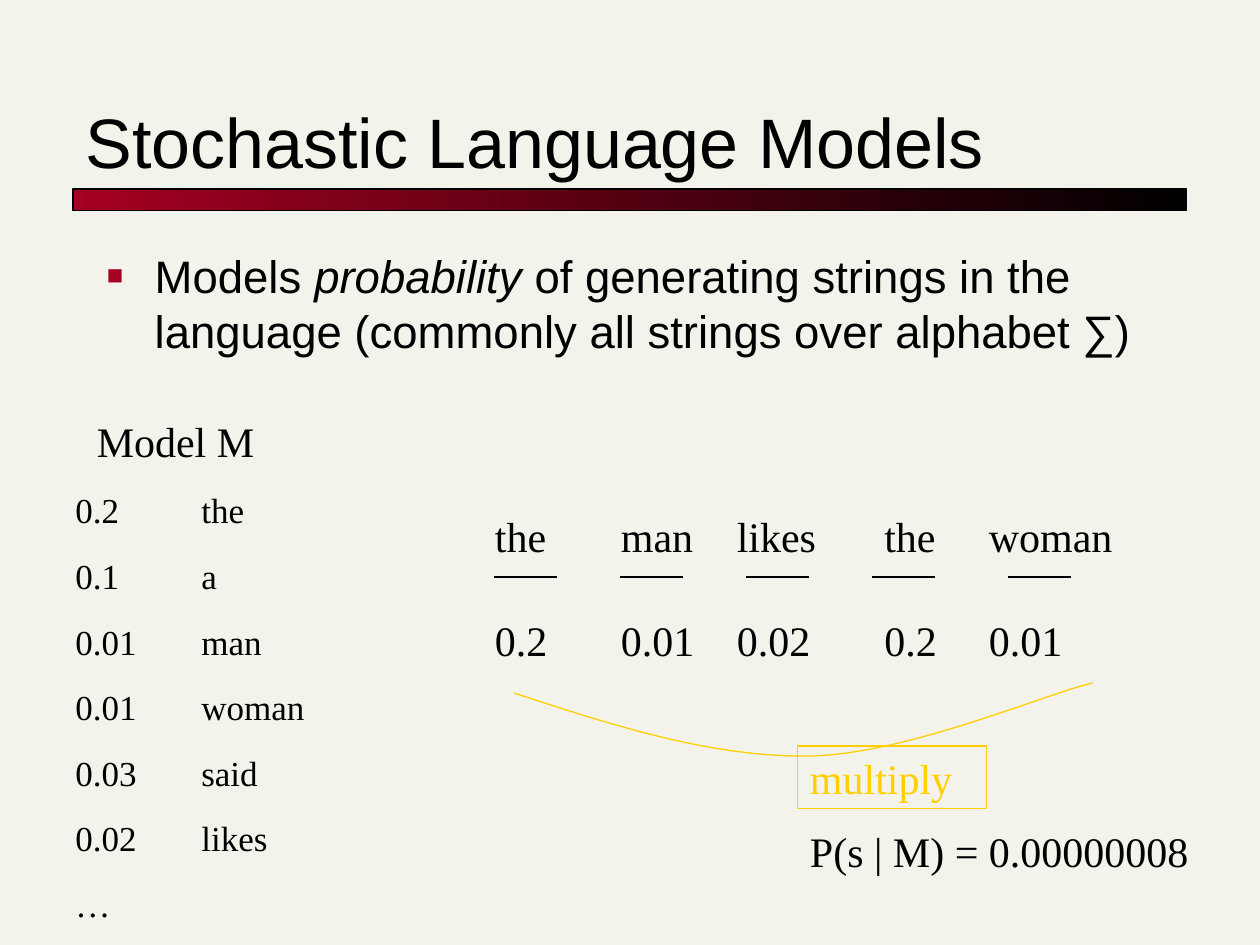
import pptx
import pptx.util
import pptx.dml.color
import pptx.enum.shapes
import pptx.enum.text
import pptx.oxml.ns
import lxml.etree
from dataclasses import dataclass

Inches, Pt = pptx.util.Inches, pptx.util.Pt
RGB = pptx.dml.color.RGBColor.from_string
SHAPE = pptx.enum.shapes.MSO_SHAPE
ANCHOR = pptx.enum.text.MSO_ANCHOR
qn = pptx.oxml.ns.qn


@dataclass(frozen=True)
class Theme:
    back: str = "F4F3EB"
    ink: str = "000000"
    red: str = "A50021"
    gold: str = "FFCF01"
    sans: str = "Arial"
    serif: str = "Times New Roman"
    title: int = 40
    body: int = 26
    label: int = 24
    entry: int = 20
    line: float = 0.75


T = Theme()


def add_xml(parent, tag, **attrs):
    return lxml.etree.SubElement(parent, qn(tag), attrs)


def write(p, text, size=T.label, name=T.serif, color=T.ink, italic=False):
    r = p.add_run()
    r.text = text
    formats = {"size": Pt(size), "name": name, "italic": italic}
    for key, value in formats.items():
        setattr(r.font, key, value)
    r.font.color.rgb = RGB(color)


def text_box(shapes, box, text="", anchor=ANCHOR.TOP, **font):
    tf = shapes.add_textbox(*map(Inches, box)).text_frame
    tf.word_wrap = True
    tf.vertical_anchor = anchor
    if text:
        write(tf.paragraphs[0], text, **font)
    return tf


def outline(sp, color):
    sp.shadow.inherit = False
    sp.line.color.rgb = RGB(color)
    sp.line.width = Pt(T.line)


def add_heading(s, box):
    """Title over a bar that fades from red to black."""
    x, y, w, h = box
    bar_h = 0.17
    sp = s.shapes.add_shape(SHAPE.RECTANGLE, Inches(x), Inches(y + h - bar_h),
                            Inches(w), Inches(bar_h))
    outline(sp, T.ink)
    sp.fill.gradient()
    sp.fill.gradient_angle = 0
    for stop, color in zip(sp.fill.gradient_stops, (T.red, T.ink)):
        stop.color.rgb = RGB(color)
    text_box(s.shapes, (x, y, w, h - bar_h), "Stochastic Language Models",
             ANCHOR.BOTTOM, size=T.title, name=T.sans)


def add_bullet(s, box):
    """Square-bulleted statement with one word in italics."""
    p = text_box(s.shapes, box).paragraphs[0]
    pPr = p._p.get_or_add_pPr()
    pPr.set("marL", str(Inches(0.38)))
    pPr.set("indent", str(-Inches(0.38)))
    add_xml(add_xml(pPr, "a:buClr"), "a:srgbClr", val=T.red)
    add_xml(pPr, "a:buSzPct", val="60000")
    add_xml(pPr, "a:buFont", typeface=T.sans)
    add_xml(pPr, "a:buChar", char="■")
    for text, italic in (("Models ", False), ("probability", True),
                         (" of generating strings in the language "
                          "(commonly all strings over alphabet ∑)", False)):
        write(p, text, T.body, T.sans, italic=italic)


def add_model(s, box):
    """Word probabilities of the model, under their heading."""
    x, y, w, h = box
    text_box(s.shapes, (x + 0.17, y, 1.5, 0.5), "Model M")
    tf = text_box(s.shapes, (x, y + 0.58, w, h - 0.58))
    entries = ("0.2\tthe", "0.1\ta", "0.01\tman", "0.01\twoman",
               "0.03\tsaid", "0.02\tlikes", "…")
    for i, entry in enumerate(entries):
        p = tf.paragraphs[0] if i == 0 else tf.add_paragraph()
        if i:
            p.space_before = Pt(13.5)
        tabs = add_xml(p._p.get_or_add_pPr(), "a:tabLst")
        add_xml(tabs, "a:tab", pos=str(Inches(1)), algn="l")
        write(p, entry, T.entry)


def add_sentence(s, box):
    """Words of the string, a rule under each, and their probabilities."""
    x, y, w, h = box
    row_h = 0.5
    columns = (  # word, probability, text offset, width, rule offset
        ("the", "0.2", 0, 0.67, 0.09),
        ("man", "0.01", 1, 0.83, 1.09),
        ("likes", "0.02", 1.92, 0.83, 2.09),
        ("the", "0.2", 3.09, 0.83, 3.09),
        ("woman", "0.01", 3.92, 1.5, 4.17),
    )
    rules = s.shapes.add_group_shape()
    rule_y = Inches(y + 0.58)
    for word, prob, dx, col_w, rule_dx in columns:
        text_box(s.shapes, (x + dx, y, col_w, row_h), word)
        text_box(s.shapes, (x + dx, y + h - row_h, col_w, row_h), prob)
        cx = rules.shapes.add_connector(
            pptx.enum.shapes.MSO_CONNECTOR.STRAIGHT, Inches(x + rule_dx),
            rule_y, Inches(x + rule_dx + 0.5), rule_y)
        cx.line.color.rgb = RGB(T.ink)
        cx.line.width = Pt(T.line)
        add_xml(cx._element.spPr, "a:effectLst")


def add_curve(shapes, points, color):
    """Bezier line: a start point, then three points for each segment."""
    points = [(Inches(px), Inches(py)) for px, py in points]
    fb = shapes.build_freeform(*points[0])
    fb.add_line_segments(points[1:], close=False)
    sp = fb.convert_to_shape()
    sp.fill.background()
    outline(sp, color)
    # Turn each three straight steps into one cubic segment
    steps = list(sp._element.iter(qn("a:lnTo")))
    for i in range(0, len(steps), 3):
        steps[i].tag  # keep the first step as the place of the segment
        cubic = lxml.etree.Element(qn("a:cubicBezTo"))
        steps[i].addprevious(cubic)
        for step in steps[i:i + 3]:
            cubic.append(step[0])
            step.getparent().remove(step)


def add_product(s, box):
    """Curve that gathers the factors, the operation and the result."""
    x, y, w, h = box
    g = s.shapes.add_group_shape()
    offsets = ((0, 0.08), (0.79, 0.34), (1.57, 0.59), (2.34, 0.58),
               (3.1, 0.57), (4.21, 0.09), (4.59, 0))
    add_curve(g.shapes, [(x + dx, y + dy) for dx, dy in offsets], T.gold)
    left = x + 2.25
    sp = g.shapes.add_shape(SHAPE.RECTANGLE, Inches(left), Inches(y + 0.5),
                            Inches(1.5), Inches(0.5))
    sp.fill.background()
    outline(sp, T.gold)
    tf = sp.text_frame
    tf.vertical_anchor = ANCHOR.TOP
    p = tf.paragraphs[0]
    p.alignment = pptx.enum.text.PP_ALIGN.LEFT
    write(p, "multiply", color=T.gold)
    text_box(s.shapes, (left, y + h - 0.5, x + w - left, 0.5),
             "P(s | M) = 0.00000008")


def main():
    prs = pptx.Presentation()
    prs.slide_width, prs.slide_height = Inches(10), Inches(7.5)
    s = prs.slides.add_slide(prs.slide_layouts[6])
    s.background.fill.solid()
    s.background.fill.fore_color.rgb = RGB(T.back)
    add_heading(s, (0.58, 0.42, 8.84, 1.25))
    add_bullet(s, (0.75, 1.92, 8.5, 1.19))
    add_model(s, (0.5, 3.25, 2.67, 4.06))
    add_sentence(s, (3.83, 4, 5.42, 1.33))
    add_product(s, (4.08, 5.42, 5.5, 1.58))
    prs.save("out.pptx")


if __name__ == "__main__":
    main()
